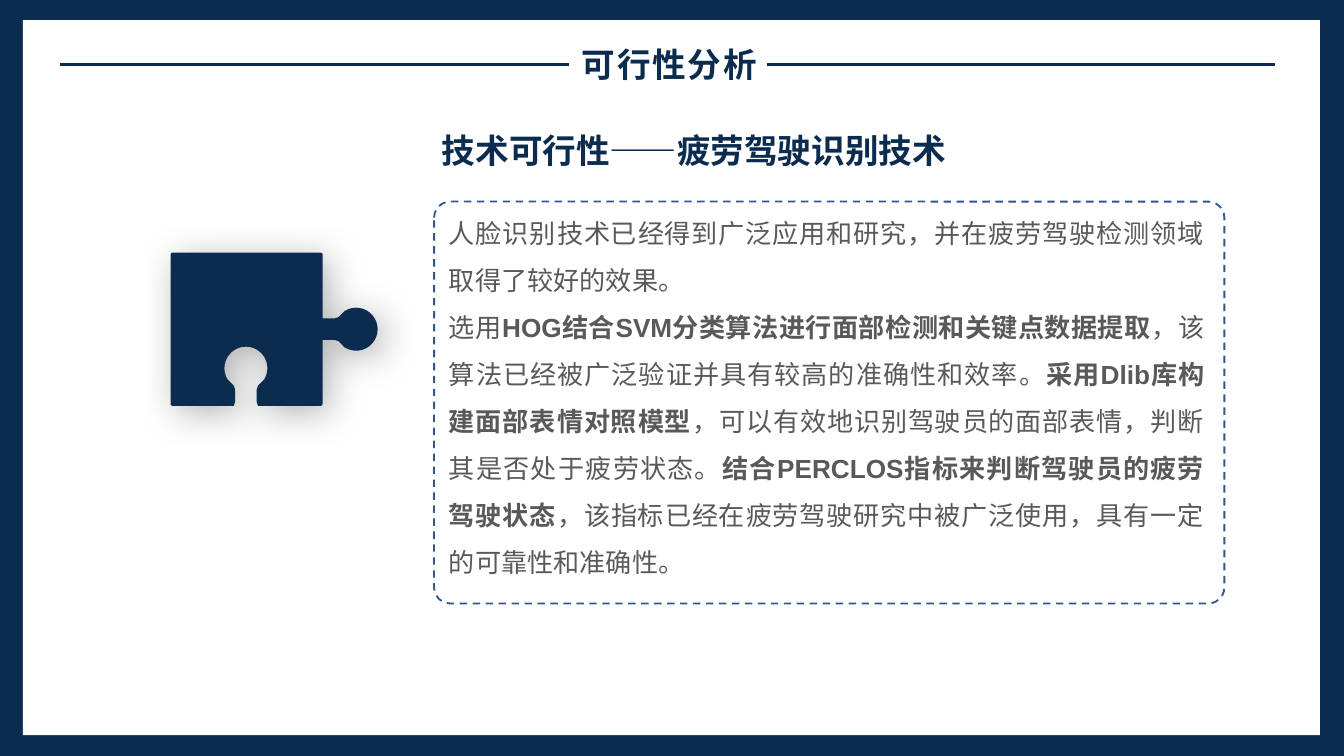
from dataclasses import dataclass
from math import cos, pi, sin

from lxml.etree import SubElement
from pptx import Presentation
from pptx.dml.color import RGBColor
from pptx.enum.dml import MSO_LINE
from pptx.enum.shapes import MSO_CONNECTOR, MSO_SHAPE
from pptx.enum.text import MSO_AUTO_SIZE, PP_ALIGN
from pptx.oxml.ns import qn
from pptx.util import Inches, Pt

COLORS = {"navy": "0B2C4F", "white": "FFFFFF", "dash": "325491",
          "body": "595959", "shadow": "000000"}
FONT = "Arial"
WIDTH = 10
HEIGHT = WIDTH * 9 / 16


@dataclass(frozen=True)
class Box:
    left: float
    top: float
    width: float
    height: float

    def lengths(self) -> list:
        return [Inches(v) for v in (self.left, self.top, self.width, self.height)]


@dataclass(frozen=True)
class TextRun:
    text: str
    bold: bool = False


BODY = [
    [TextRun("人脸识别技术已经得到广泛应用和研究，并在疲劳驾驶检测领域取得了较好的效果。")],
    [TextRun("选用"),
     TextRun("HOG结合SVM分类算法进行面部检测和关键点数据提取", True),
     TextRun("，该算法已经被广泛验证并具有较高的准确性和效率。"),
     TextRun("采用Dlib库构建面部表情对照模型", True),
     TextRun("，可以有效地识别驾驶员的面部表情，判断其是否处于疲劳状态。"),
     TextRun("结合PERCLOS指标来判断驾驶员的疲劳驾驶状态", True),
     TextRun("，该指标已经在疲劳驾驶研究中被广泛使用，具有一定的可靠性和准确性。")],
]


def color(name: str) -> RGBColor:
    return RGBColor.from_string(COLORS[name])


def fill_plain(shape, name: str) -> None:
    shape.shadow.inherit = False
    shape.fill.solid()
    shape.fill.fore_color.rgb = color(name)
    shape.line.fill.background()


def add_panel(slide, box: Box, name: str) -> None:
    fill_plain(slide.shapes.add_shape(MSO_SHAPE.RECTANGLE, *box.lengths()), name)


def add_dashed_frame(slide, box: Box) -> None:
    shape = slide.shapes.add_shape(MSO_SHAPE.ROUNDED_RECTANGLE, *box.lengths())
    shape.adjustments[0] = 0.04
    shape.shadow.inherit = False
    shape.fill.background()
    shape.line.color.rgb = color("dash")
    shape.line.width = Pt(1)
    shape.line.dash_style = MSO_LINE.DASH


def add_rule(slide, start: float, end: float, y: float) -> None:
    rule = slide.shapes.add_connector(
        MSO_CONNECTOR.STRAIGHT, Inches(start), Inches(y), Inches(end), Inches(y))
    rule.line.color.rgb = color("navy")
    rule.line.width = Pt(2)
    SubElement(rule._element.spPr, qn("a:effectLst"))


def add_run(paragraph, content: TextRun, size: int, name: str):
    run = paragraph.add_run()
    run.text = content.text
    run.font.name = FONT
    run.font.size = Pt(size)
    run.font.bold = content.bold
    run.font.color.rgb = color(name)
    return run


def add_heading(slide, box: Box, text: str, wrap: bool = True, spacing: int = 0) -> None:
    """Add a bold line of text; spacing is in hundredths of a point."""
    frame = slide.shapes.add_textbox(*box.lengths()).text_frame
    frame.word_wrap = wrap
    run = add_run(frame.paragraphs[0], TextRun(text, True), 18, "navy")
    if spacing:
        run.font._element.set("spc", str(spacing))


def add_body(slide, box: Box) -> None:
    frame = slide.shapes.add_textbox(*box.lengths()).text_frame
    frame.word_wrap = True
    frame.auto_size = MSO_AUTO_SIZE.SHAPE_TO_FIT_TEXT
    frame.margin_left = frame.margin_top = frame.margin_right = frame.margin_bottom = 0
    for index, runs in enumerate(BODY):
        paragraph = frame.add_paragraph() if index else frame.paragraphs[0]
        paragraph.alignment = PP_ALIGN.JUSTIFY
        paragraph.line_spacing = 1.5
        for content in runs:
            add_run(paragraph, content, 14, "body")


def tab_profile() -> list[tuple[float, float]]:
    """Outline of a puzzle tab as (depth from the edge, offset from its axis)."""
    neck = [(0, 0.08), (0.09, 0.08), (0.12, 0.09)]
    center, radius, opening, steps = 0.25, 0.16, 0.68 * pi, 24
    angles = [opening * (1 - 2 * i / steps) for i in range(steps + 1)]
    head = [(center + radius * cos(a), radius * sin(a)) for a in angles]
    return neck + head + [(depth, -offset) for depth, offset in reversed(neck)]


def add_puzzle_piece(slide) -> None:
    left, top, right, bottom, cut = 1.27, 1.88, 2.40, 3.02, 0.01
    middle_x, middle_y, notch_shift = 1.83, 2.45, 0.03
    tab = tab_profile()
    points = [(left, top + cut), (left + cut, top), (right - cut, top), (right, top + cut)]
    points += [(right + depth, middle_y - offset) for depth, offset in tab]
    points += [(right, bottom - cut), (right - cut, bottom), (middle_x + 0.09, bottom)]
    points += [(middle_x + offset, bottom - notch_shift - depth) for depth, offset in tab]
    points += [(middle_x - 0.09, bottom), (left + cut, bottom), (left, bottom - cut)]
    outline = [(Inches(x), Inches(y)) for x, y in points]
    builder = slide.shapes.build_freeform(*outline[0])
    builder.add_line_segments(outline[1:], close=True)
    piece = builder.convert_to_shape()
    fill_plain(piece, "navy")
    effects = piece._element.spPr.find(qn("a:effectLst"))
    shadow = SubElement(effects, qn("a:outerShdw"), blurRad=str(Pt(20)),
                        dist=str(Pt(5)), dir=str(45 * 60000), rotWithShape="0")
    tint = SubElement(shadow, qn("a:srgbClr"), val=COLORS["shadow"])
    SubElement(tint, qn("a:alpha"), val="30000")


def main() -> None:
    presentation = Presentation()
    presentation.slide_width = Inches(WIDTH)
    presentation.slide_height = Inches(HEIGHT)
    slide = presentation.slides.add_slide(presentation.slide_layouts[6])
    add_panel(slide, Box(0, 0, WIDTH, HEIGHT), "navy")
    add_panel(slide, Box(0.17, 0.15, 9.65, 5.32), "white")
    add_dashed_frame(slide, Box(3.23, 1.5, 5.88, 2.99))
    add_puzzle_piece(slide)
    add_body(slide, Box(3.34, 1.5, 5.62, 2.83))
    add_heading(slide, Box(4.23, 0.28, 1.52, 0.4), "可行性分析", wrap=False, spacing=100)
    for start in (5.71, 0.45):
        add_rule(slide, start, start + 3.78, 0.48)
    add_heading(slide, Box(3.19, 0.92, 4.17, 0.41), "技术可行性——疲劳驾驶识别技术")
    presentation.save("out.pptx")


if __name__ == "__main__":
    main()
